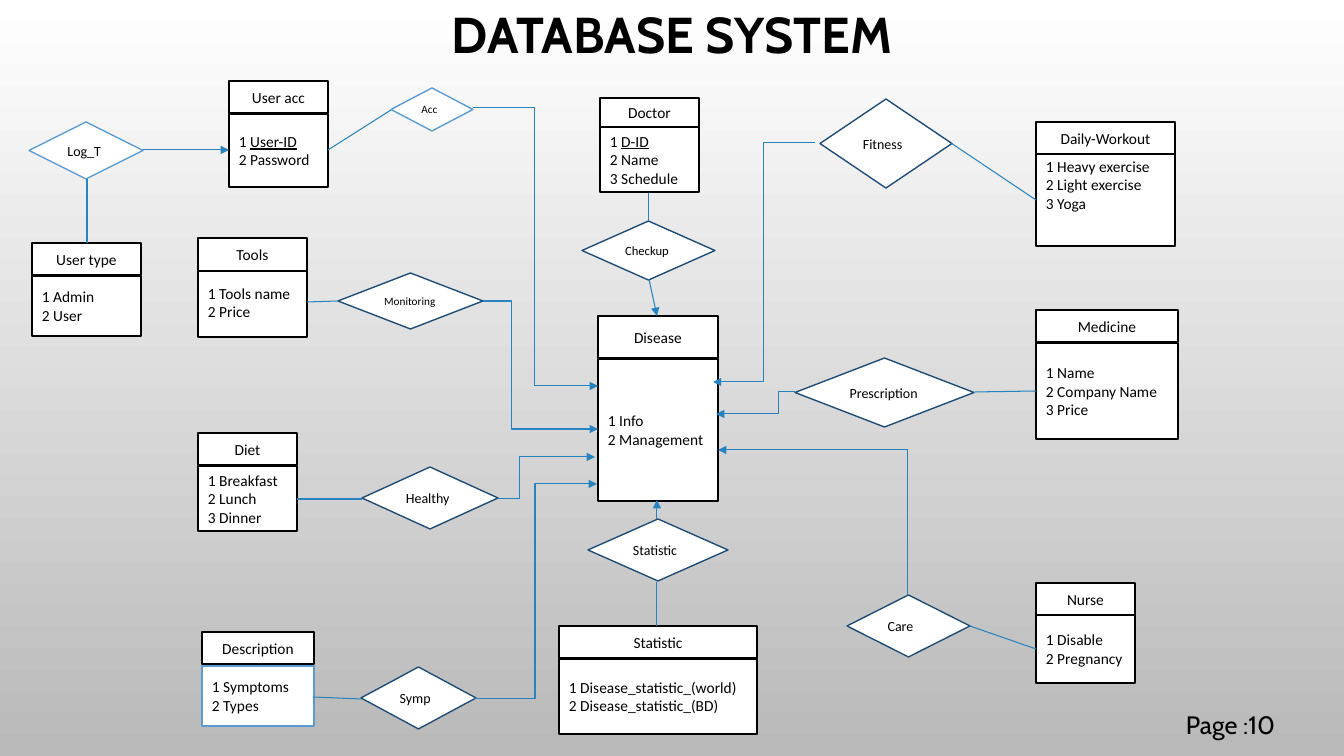
from lxml.etree import SubElement
from pptx import Presentation
from pptx.dml.color import RGBColor
from pptx.enum.shapes import MSO_CONNECTOR, MSO_SHAPE
from pptx.enum.text import MSO_ANCHOR, PP_ALIGN
from pptx.oxml.ns import qn
from pptx.util import Pt

HUES = {"ink": "000000", "paper": "FFFFFF", "base": "B9B9B9",
        "link": "2683BF", "light": "5B9BD5", "dark": "1F4D78"}
KEYS = {"User-ID", "D-ID"}
WORKOUT = "Daily-Workout"

# name, left, top, width, head height, body top, body height, fields
TABLES = [
    ("User acc", 229, 81, 99, 32, 114, 73, ["User-ID", "Password"]),
    ("Doctor", 600, 98, 99, 29, 127, 65, ["D-ID", "Name", "Schedule"]),
    ("Tools", 198, 238, 109, 33, 268, 69, ["Tools name", "Price"]),
    ("Disease", 598, 316, 120, 42, 359, 142, ["Info", "Management"]),
    (WORKOUT, 1036, 122, 139, 32, 152, 94,
     ["Heavy exercise", "Light exercise", "Yoga"]),
    ("Diet", 198, 433, 99, 32, 466, 65, ["Breakfast", "Lunch", "Dinner"]),
    ("Medicine", 1036, 310, 142, 32, 343, 96, ["Name", "Company Name", "Price"]),
    ("Description", 202, 632, 112, 32, 666, 60, ["Symptoms", "Types"]),
    ("Nurse", 1036, 583, 99, 32, 615, 68, ["Disable", "Pregnancy"]),
    ("User type", 32, 243, 109, 32, 276, 60, ["Admin", "User"]),
    ("Statistic", 559, 626, 198, 32, 659, 75,
     ["Disease_statistic_(world)", "Disease_statistic_(BD)"]),
]

# name, left, top, width, height, text size, outline
BONDS = [
    ("Acc", 391, 88, 82, 43, 8, "light"),
    ("Monitoring", 338, 273, 145, 56, 8, "dark"),
    ("Healthy", 362, 467, 136, 62, 10, "dark"),
    ("Symp", 361, 667, 115, 62, 10, "dark"),
    ("Care", 847, 595, 123, 62, 10, "dark"),
    ("Prescription", 795, 358, 179, 69, 10, "dark"),
    ("Checkup", 582, 221, 133, 59, 9, "dark"),
    ("Fitness", 820, 99, 132, 89, 10, "dark"),
    ("Statistic", 588, 519, 140, 62, 10, "dark"),
    ("Log_T", 29, 122, 114, 57, 10, "light"),
]

PLAIN = [
    (87, 179, 87, 243), (328, 150, 391, 110), (649, 193, 649, 221),
    (1036, 200, 951, 143), (1036, 391, 975, 392), (970, 626, 1036, 649),
    (657, 626, 657, 582), (313, 697, 361, 699), (297, 499, 362, 499),
    (307, 302, 338, 301),
]
ARROWS = [(143, 150, 229, 150), (649, 279, 657, 316), (657, 519, 657, 500)]

# start x, start y, end x, end y, x of the upright part
BENDS = [
    (473, 108, 598, 386, 535), (815, 143, 713, 382, 764),
    (795, 392, 716, 414, 779), (474, 699, 597, 484, 535),
    (498, 499, 595, 457, 520), (483, 301, 598, 429, 512),
]


def px(n):
    return round(n * 914400 / 100.8)


def hue(name):
    return RGBColor.from_string(HUES[name])


class Chart:
    """Holds the slide and draws the parts of an entity diagram on it."""

    def __init__(self, slide, face="Calibri", size=11):
        self.slide, self.face, self.size = slide, face, size

    def back(self, top, base):
        fill = self.slide.background.fill
        fill.gradient()
        fill.gradient_angle = 270
        for stop, name in zip(fill.gradient_stops, (top, base)):
            stop.color.rgb = hue(name)

    def font(self, para, size, face=None, bold=None):
        font = para.font
        font.name, font.size, font.bold = face or self.face, Pt(size), bold
        font.color.rgb = hue("ink")

    def label(self, text, box, size, bold=None, align=None, anchor=None):
        frame = self.slide.shapes.add_textbox(*map(px, box)).text_frame
        frame.word_wrap = True
        frame.vertical_anchor = anchor
        para = frame.paragraphs[0]
        para.text, para.alignment = text, align
        self.font(para, size, "Cabin", bold)
        return para

    def shape(self, kind, box, line, rows, size=None, align=PP_ALIGN.LEFT):
        """Draw a filled shape; each row is a list of text runs."""
        item = self.slide.shapes.add_shape(kind, *map(px, box))
        item.shadow.inherit = False
        item.fill.solid()
        item.fill.fore_color.rgb = hue("paper")
        item.line.color.rgb = hue(line)
        item.line.width = Pt(1)
        frame = item.text_frame
        for i, row in enumerate(rows):
            para = frame.add_paragraph() if i else frame.paragraphs[0]
            para.alignment = align
            self.font(para, size or self.size)
            for text in row:
                run = para.add_run()
                run.text = text
                if text in KEYS:
                    run.font.underline = True
        return frame

    def table(self, name, x, y, w, head, top, high, fields):
        rows = [[f"{i} ", f] if f in KEYS else [f"{i} {f}"]
                for i, f in enumerate(fields, 1)]
        line = "light" if name == "Description" else "ink"
        body = self.shape(MSO_SHAPE.RECTANGLE, (x, top, w, high), line, rows)
        if name == WORKOUT:
            body.vertical_anchor = MSO_ANCHOR.TOP
        self.shape(MSO_SHAPE.RECTANGLE, (x, y, w, head), "ink", [[name]],
                   align=PP_ALIGN.CENTER)

    def bond(self, name, x, y, w, h, size, line):
        self.shape(MSO_SHAPE.DIAMOND, (x, y, w, h), line, [[name]], size)

    def link(self, ends, tip=None, kind=MSO_CONNECTOR.STRAIGHT):
        """Join two points; tip is the arrow end, headEnd or tailEnd."""
        item = self.slide.shapes.add_connector(kind, *map(px, ends))
        item.line.color.rgb = hue("link")
        item.line.width = Pt(0.75)
        if tip:
            SubElement(item.line._get_or_add_ln(), qn(f"a:{tip}"), type="triangle")
        props = item._element.spPr
        SubElement(props, qn("a:effectLst"))
        return props.find(qn("a:prstGeom"))

    def bend(self, x1, y1, x2, y2, mid):
        geom = self.link((x1, y1, x2, y2), "tailEnd", MSO_CONNECTOR.ELBOW)
        part = round((mid - x1) / (x2 - x1) * 100000)
        SubElement(geom.find(qn("a:avLst")), qn("a:gd"),
                   name="adj1", fmla=f"val {part}")

    def corner(self, ends):
        geom = self.link(ends, "headEnd", MSO_CONNECTOR.ELBOW)
        geom.set("prst", "bentConnector2")


def main():
    deck = Presentation()
    deck.slide_width, deck.slide_height = px(1344), px(756)
    chart = Chart(deck.slides.add_slide(deck.slide_layouts[6]))
    chart.back("paper", "base")
    title = chart.label("DATABASE SYSTEM", (101, 0, 1142, 75), 36, True,
                        PP_ALIGN.CENTER, MSO_ANCHOR.MIDDLE)
    title.line_spacing = 0.9
    for row in TABLES:
        chart.table(*row)
    for row in BONDS:
        chart.bond(*row)
    for ends in PLAIN:
        chart.link(ends)
    for ends in ARROWS:
        chart.link(ends, "tailEnd")
    for row in BENDS:
        chart.bend(*row)
    chart.corner((718, 450, 908, 595))
    chart.label("Page :10", (1176, 704, 118, 40), 18)
    deck.save("out.pptx")


if __name__ == "__main__":
    main()
